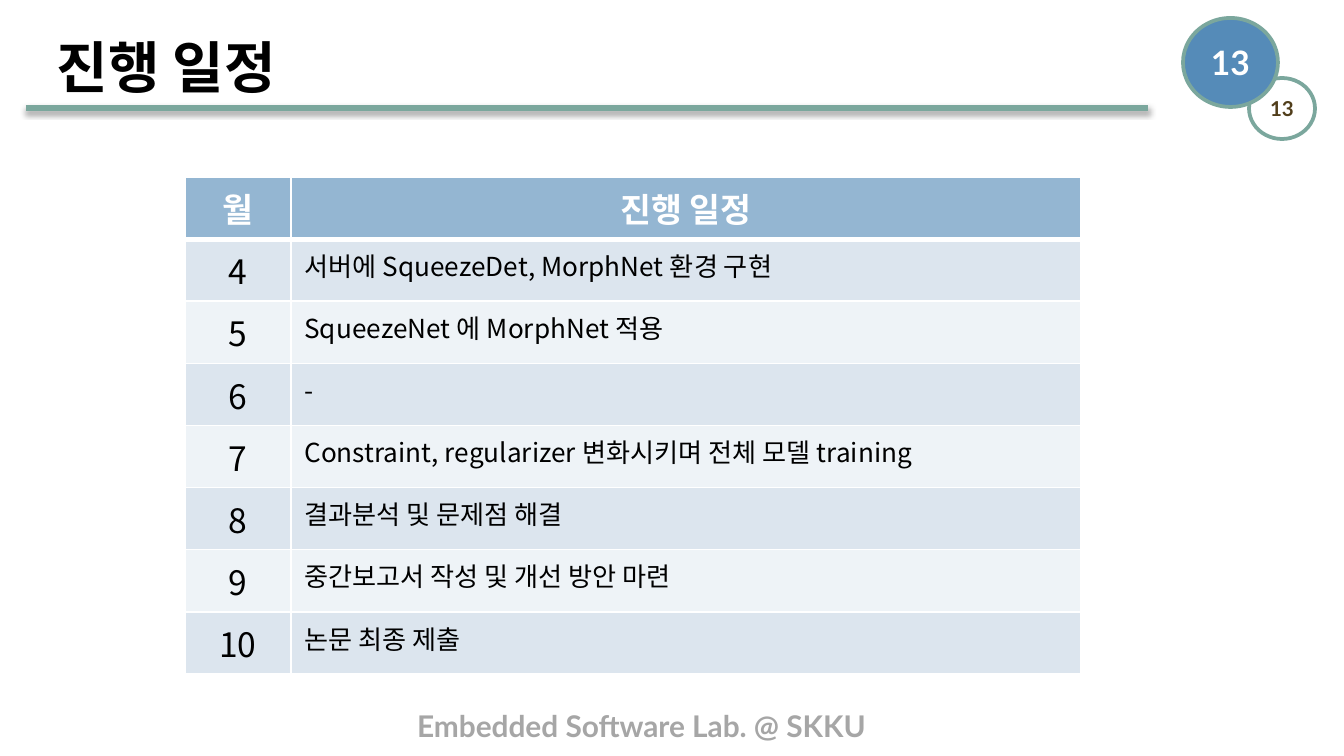
from lxml import etree
from pptx import Presentation, util as u
from pptx.dml.color import RGBColor
from pptx.enum import shapes, text
from pptx.oxml import ns

SCALE = 914400 / 134.4
LATO, NOTO = "Lato", "Noto Sans CJK KR"
WHITE = RGBColor(0xFF, 0xFF, 0xFF)
BLACK = RGBColor(0x00, 0x00, 0x00)
GREEN = RGBColor(0x7B, 0xA7, 0x9D)
BLUE = RGBColor(0x55, 0x8B, 0xB8)
BROWN = RGBColor(0x51, 0x3E, 0x1B)
GRAY = RGBColor(0xA6, 0xA6, 0xA6)
HEADER = RGBColor(0x94, 0xB6, 0xD2)
BANDS = RGBColor(0xDC, 0xE5, 0xEE), RGBColor(0xEE, 0xF3, 0xF7)
SCHEDULE = [
    ("월", "진행 일정"),
    ("4", "서버에 SqueezeDet, MorphNet 환경 구현"),
    ("5", "SqueezeNet 에 MorphNet 적용"),
    ("6", "-"),
    ("7", "Constraint, regularizer 변화시키며 전체 모델 training"),
    ("8", "결과분석 및 문제점 해결"),
    ("9", "중간보고서 작성 및 개선 방안 마련"),
    ("10", "논문 최종 제출"),
]


def px(*lengths):
    """Turn pixel lengths into a list of EMU lengths."""
    return [u.Emu(round(length * SCALE)) for length in lengths]


def write(frame, words, size, color, bold=True, align=text.PP_ALIGN.LEFT, font=LATO):
    """Write one styled paragraph into a text frame and return it."""
    paragraph = frame.paragraphs[0]
    paragraph.text = words
    paragraph.alignment = align
    paragraph.font.name = font
    paragraph.font.size = u.Pt(size)
    paragraph.font.bold = bold
    paragraph.font.color.rgb = color
    return paragraph


def add_footer(slide, left, top, width, height):
    """Add the laboratory name at the foot of the slide."""
    shape = slide.shapes.add_textbox(*px(left, top, width, height))
    shape.text_frame.word_wrap = False
    paragraph = write(shape.text_frame, "Embedded Software Lab. @ SKKU", 16, GRAY)
    paragraph.line_spacing = 0.87


def add_badge(slide, left, top, width, height, size, fill, color):
    """Add an oval that carries the slide number."""
    shape = slide.shapes.add_shape(
        shapes.MSO_SHAPE.OVAL, *px(left, top, width, height))
    shape.shadow.inherit = False
    shape.fill.solid()
    shape.fill.fore_color.rgb = fill
    shape.line.color.rgb = GREEN
    shape.line.width = u.Pt(2)
    frame = shape.text_frame
    frame.word_wrap = True
    frame.vertical_anchor = text.MSO_ANCHOR.MIDDLE
    frame.margin_left = frame.margin_right = u.Inches(0.04)
    frame.margin_top = frame.margin_bottom = u.Inches(0.04)
    write(frame, "13", size, color, align=text.PP_ALIGN.CENTER)


def add_rule(slide, left, top, width):
    """Add the shadowed rule under the title."""
    rule = slide.shapes.add_connector(
        shapes.MSO_CONNECTOR.STRAIGHT, *px(left, top, left + width, top))
    rule.line.color.rgb = GREEN
    rule.line.width = u.Pt(3)
    effects = etree.SubElement(rule._element.spPr, ns.qn("a:effectLst"))
    shadow = etree.SubElement(
        effects, ns.qn("a:outerShdw"), blurRad=str(u.Pt(3.1)),
        dist=str(u.Pt(1.8)), dir="5400000", rotWithShape="0")
    color = etree.SubElement(shadow, ns.qn("a:srgbClr"), val=str(BLACK))
    etree.SubElement(color, ns.qn("a:alpha"), val="35000")


def add_title(slide, left, top, width, height):
    """Add the slide title."""
    shape = slide.shapes.add_textbox(*px(left, top, width, height))
    shape.text_frame.word_wrap = True
    shape.text_frame.vertical_anchor = text.MSO_ANCHOR.MIDDLE
    write(shape.text_frame, " 진행 일정", 30, BLACK)


def set_borders(cell, top, bottom):
    """Give a cell white borders, with top and bottom widths in points."""
    properties = cell._tc.get_or_add_tcPr()
    for side, width in zip("LRTB", (1, 1, top, bottom)):
        line = etree.SubElement(properties, ns.qn("a:ln" + side), w=str(u.Pt(width)))
        fill = etree.SubElement(line, ns.qn("a:solidFill"))
        etree.SubElement(fill, ns.qn("a:srgbClr"), val=str(WHITE))


def add_schedule(slide, left, top, width, height):
    """Add the table of months and planned work."""
    month_width = 106
    table = slide.shapes.add_table(
        len(SCHEDULE), 2, *px(left, top, width, height)).table
    table.columns[0].width, table.columns[1].width = px(
        month_width, width - month_width)
    for row, entries in enumerate(SCHEDULE):
        header = row == 0
        for column, words in enumerate(entries):
            cell = table.cell(row, column)
            set_borders(cell, 3 if row == 1 else 1, 3 if header else 1)
            cell.fill.solid()
            cell.fill.fore_color.rgb = HEADER if header else BANDS[(row - 1) % 2]
            large = header or column == 0
            write(cell.text_frame, words, 18 if large else 14,
                  WHITE if header else BLACK, header,
                  text.PP_ALIGN.CENTER if large else text.PP_ALIGN.LEFT, NOTO)


def main():
    """Build and save the schedule slide."""
    presentation = Presentation()
    presentation.slide_width, presentation.slide_height = px(1344, 756)
    slide = presentation.slides.add_slide(presentation.slide_layouts[6])
    add_footer(slide, 404, 706, 535, 46)
    add_badge(slide, 1249, 78, 66, 61, 11, WHITE, BROWN)
    add_rule(slide, 26, 108, 1122)
    add_badge(slide, 1183, 18, 95, 89, 18, BLUE, WHITE)
    add_title(slide, 31, 20, 1102, 93)
    add_schedule(slide, 185, 177, 896, 497)
    presentation.save("out.pptx")


if __name__ == "__main__":
    main()
